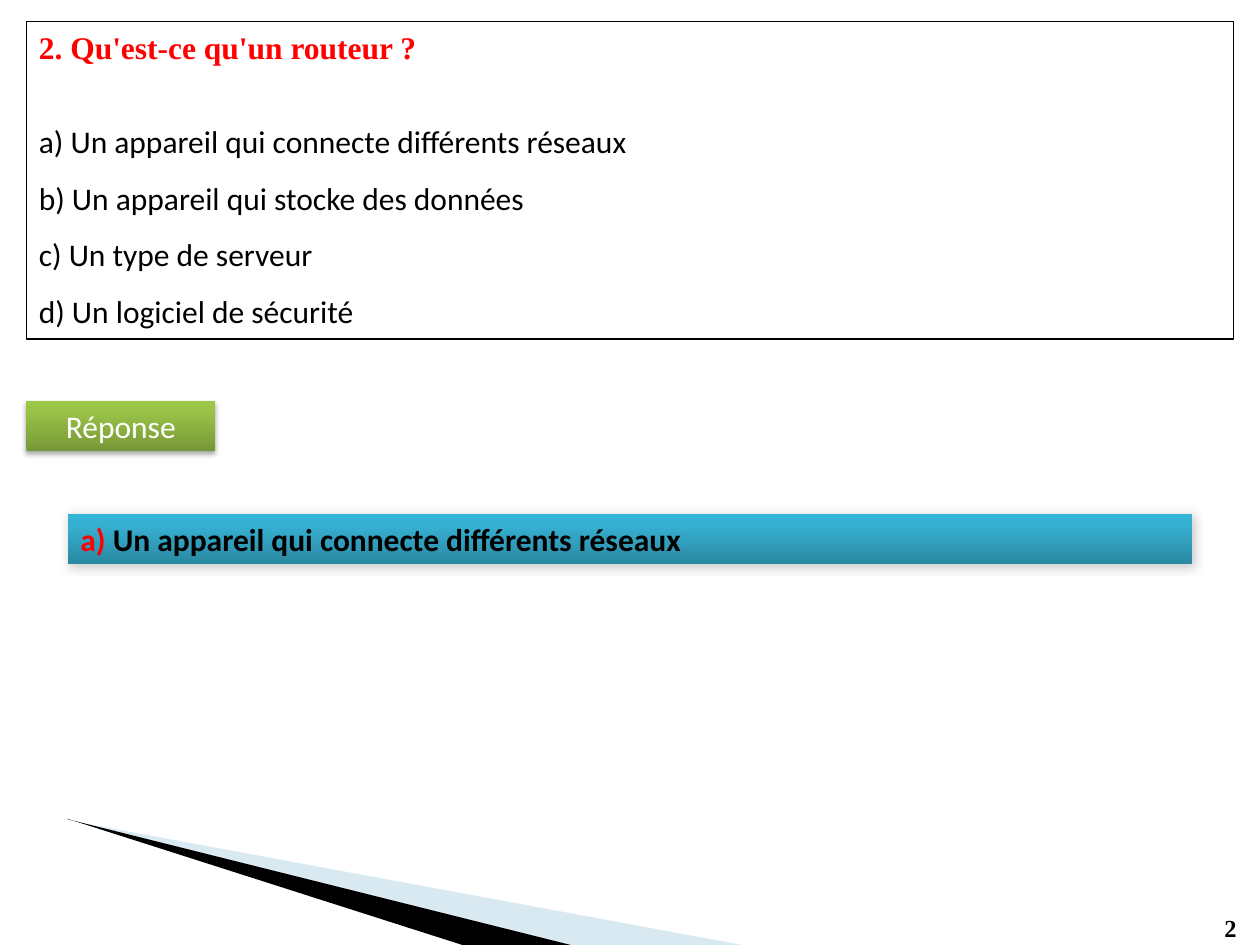
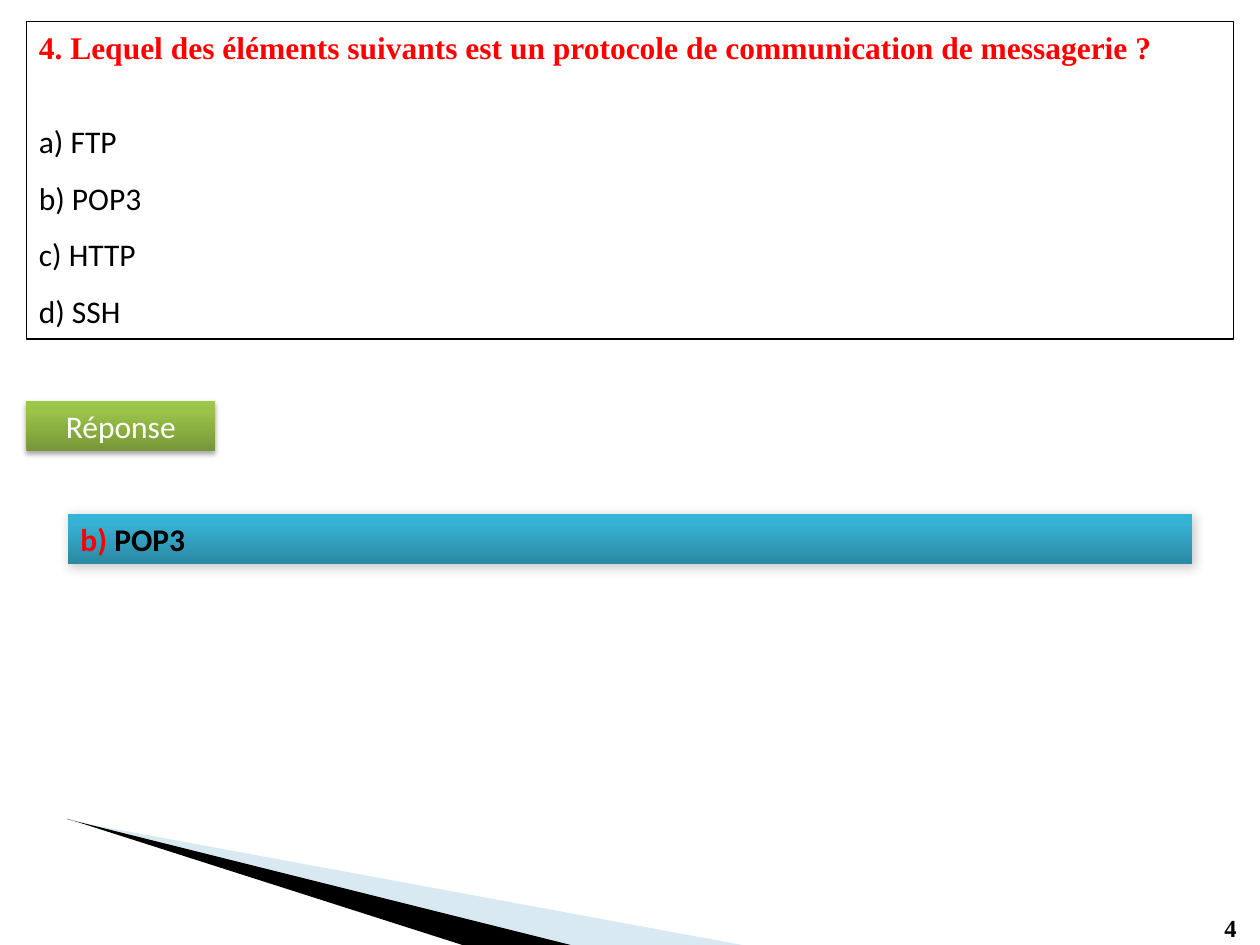
from dataclasses import dataclass

from lxml.etree import SubElement as Sub
from pptx import Presentation as Deck
from pptx.dml.color import RGBColor as RGB
from pptx.enum.shapes import MSO_SHAPE as Kind
from pptx.enum.text import MSO_ANCHOR as Anchor
from pptx.enum.text import MSO_AUTO_SIZE as Fit
from pptx.enum.text import PP_ALIGN as Align
from pptx.oxml.ns import qn
from pptx.util import Inches, Pt

# Shared colours and fonts
BLACK, WHITE, RED = RGB(0, 0, 0), RGB(255, 255, 255), RGB(255, 0, 0)
PALE = RGB(0x9F, 0xCA, 0xDC)
GREENS = (RGB(0x77, 0x97, 0x37), RGB(0x9B, 0xC3, 0x48), RGB(0x9D, 0xC7, 0x46))
BLUES = (RGB(0x2A, 0x88, 0xA2), RGB(0x37, 0xB1, 0xD2), RGB(0x34, 0xB4, 0xD6))
STOPS = (0, 80, 100)
SANS, SERIF = "Calibri", "Times New Roman"


@dataclass(frozen=True)
class Shade:
    alpha: int
    blur: float
    dist: float
    angle: int


@dataclass(frozen=True)
class Bar:
    left: float
    top: float
    width: float
    tints: tuple
    shade: Shade
    align: Align


@dataclass(frozen=True)
class Wedge:
    paths: tuple
    tint: RGB
    alpha: int


@dataclass(frozen=True)
class Quiz:
    number: int
    title: str
    items: tuple
    right: int


LABEL = Bar(0.21, 3.18, 1.5, GREENS, Shade(35, 3.1, 1.8, 90), Align.CENTER)
REPLY = Bar(0.54, 4.08, 8.92, BLUES, Shade(20, 6, 1, 45), Align.JUSTIFY)

WEDGES = (
    Wedge((((0.64, 6.53), (4.51, 7.5), (5.89, 7.5)),
           ((0.55, 6.5), (0.55, 6.51), (0.64, 6.53))), PALE, 40),
    Wedge((((0.53, 6.5), (0.54, 6.5), (3.67, 7.5), (4.53, 7.5)),), BLACK, 100),
)

QUIZZES = (
    Quiz(2, "Qu'est-ce qu'un routeur ?",
         ("Un appareil qui connecte différents réseaux",
          "Un appareil qui stocke des données",
          "Un type de serveur",
          "Un logiciel de sécurité"), 0),
    Quiz(4, "Lequel des éléments suivants est un protocole de communication "
            "de messagerie ?",
         ("FTP", "POP3", "HTTP", "SSH"), 1),
)


def mark(rank: int) -> str:
    return f"{'abcd'[rank]}) "


def add_run(para, text: str, tint: RGB, bold: bool = False,
            face: str = SANS, size: int = 18) -> None:
    run = para.add_run()
    run.text = text
    font = run.font
    font.name, font.size, font.bold = face, Pt(size), bold
    font.color.rgb = tint


def set_frame(shape):
    frame = shape.text_frame
    frame.word_wrap = True
    frame.auto_size = Fit.SHAPE_TO_FIT_TEXT
    frame.vertical_anchor = Anchor.TOP
    return frame


def add_tint(host, tint: RGB, alpha: int = 100) -> None:
    color = Sub(host, qn("a:srgbClr"), val=str(tint))
    if alpha < 100:
        Sub(color, qn("a:alpha"), val=str(alpha * 1000))


def add_box(slide, left: float, top: float, width: float, height: float):
    box = slide.shapes.add_shape(Kind.RECTANGLE, Inches(left), Inches(top),
                                 Inches(width), Inches(height))
    box.shadow.inherit = False
    return box


def add_bar(slide, bar: Bar):
    """Draw a shaded bar and return its paragraph."""
    box = add_box(slide, bar.left, bar.top, bar.width, 0.4)
    box.line.fill.background()
    # Gradient from bottom to top
    box.fill.gradient()
    box.fill.gradient_angle = 90
    stops = box.element.spPr.find(".//" + qn("a:gsLst"))
    stops.clear()
    for place, tint in zip(STOPS, bar.tints):
        add_tint(Sub(stops, qn("a:gs"), pos=str(place * 1000)), tint)
    # Soft shadow
    shade = bar.shade
    cast = Sub(box.element.spPr.find(qn("a:effectLst")), qn("a:outerShdw"),
               blurRad=str(Pt(shade.blur)), dist=str(Pt(shade.dist)),
               dir=str(shade.angle * 60000), rotWithShape="0")
    add_tint(cast, BLACK, shade.alpha)
    para = set_frame(box).paragraphs[0]
    para.alignment = bar.align
    return para


def add_wedge(slide, wedge: Wedge) -> None:
    paths = [[(Inches(x), Inches(y)) for x, y in path] for path in wedge.paths]
    pen = slide.shapes.build_freeform(*paths[0][0])
    for rank, path in enumerate(paths):
        if rank:
            pen.move_to(*path[0])
        pen.add_line_segments(path[1:], close=True)
    shape = pen.convert_to_shape()
    shape.shadow.inherit = False
    shape.line.fill.background()
    shape.fill.solid()
    shape.fill.fore_color.rgb = wedge.tint
    if wedge.alpha < 100:
        color = shape.element.spPr.find(qn("a:solidFill"))[0]
        Sub(color, qn("a:alpha"), val=str(wedge.alpha * 1000))


def add_frame(slide, quiz: Quiz) -> None:
    """Draw the framed question with its choices."""
    box = add_box(slide, 0.21, 0.17, 9.58, 2.52)
    box.fill.background()
    box.line.color.rgb = BLACK
    box.line.width = Pt(0.75)
    frame = set_frame(box)
    head = frame.paragraphs[0]
    head.alignment = Align.LEFT
    head.space_after = Pt(21.5)
    add_run(head, f"{quiz.number}. {quiz.title}", RED, True, SERIF)
    for rank, item in enumerate(quiz.items):
        para = frame.add_paragraph()
        para.alignment = Align.LEFT
        para.line_spacing = 1.5
        add_run(para, mark(rank) + item, BLACK)


def add_quiz(deck, quiz: Quiz) -> None:
    slide = deck.slides.add_slide(deck.slide_layouts[6])
    # Corner wedges and page number
    for wedge in WEDGES:
        add_wedge(slide, wedge)
    page = slide.shapes.add_textbox(Inches(9.62), Inches(7.2),
                                    Inches(0.36), Inches(0.34))
    add_run(set_frame(page).paragraphs[0], str(quiz.number), BLACK, True,
            SERIF, 14)
    # Question, label and reply
    add_frame(slide, quiz)
    add_run(add_bar(slide, LABEL), "Réponse", WHITE)
    reply = add_bar(slide, REPLY)
    add_run(reply, mark(quiz.right), RED, True)
    add_run(reply, quiz.items[quiz.right], BLACK, True)


def main() -> None:
    deck = Deck()
    deck.slide_width, deck.slide_height = Inches(10), Inches(7.5)
    for quiz in QUIZZES:
        add_quiz(deck, quiz)
    deck.save("out.pptx")


if __name__ == "__main__":
    main()
